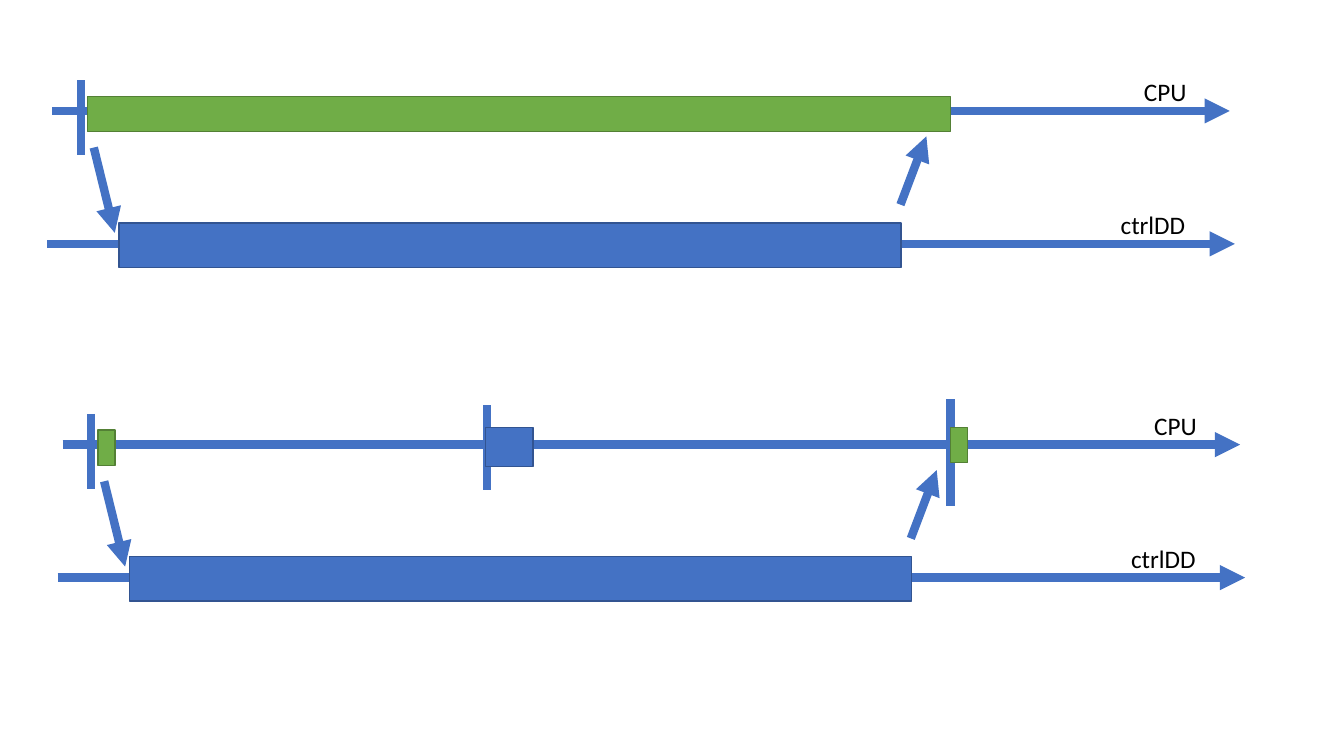
from lxml.etree import SubElement
from pptx import Presentation
from pptx.dml.color import RGBColor
from pptx.enum.shapes import MSO_CONNECTOR as CONN, MSO_SHAPE as SHAPE
from pptx.enum.text import MSO_AUTO_SIZE as AUTO
from pptx.oxml.ns import qn
from pptx.util import Pt

BLUE, BLUE_EDGE = "4472C4", "325491"
GREEN, GREEN_EDGE = "70AD47", "538035"
LABEL_FONT = {"name": "Calibri", "size": Pt(18)}
# Shift of the lower timing diagram from the upper one
LOWER = (7.4, 238.4)


def color(fmt, value):
    fmt.rgb = RGBColor.from_string(value)


def add_line(s, x1, y1, x2, y2, arrow=False):
    c = s.shapes.add_connector(CONN.STRAIGHT, Pt(x1), Pt(y1), Pt(x2), Pt(y2))
    color(c.line.color, BLUE)
    c.line.width = Pt(6)
    if arrow:
        SubElement(c.line._get_or_add_ln(), qn("a:tailEnd"), type="triangle")
    SubElement(c._element.spPr, qn("a:effectLst"))


def add_bar(s, x, y, w, h, fill=BLUE, edge=BLUE_EDGE):
    sp = s.shapes.add_shape(SHAPE.RECTANGLE, Pt(x), Pt(y), Pt(w), Pt(h))
    sp.shadow.inherit = False
    sp.fill.solid()
    color(sp.fill.fore_color, fill)
    color(sp.line.color, edge)
    sp.line.width = Pt(1)


def add_label(s, text, x, y, w):
    tf = s.shapes.add_textbox(Pt(x), Pt(y), Pt(w), Pt(28.8)).text_frame
    tf.word_wrap = False
    tf.auto_size = AUTO.SHAPE_TO_FIT_TEXT
    r = tf.paragraphs[0].add_run()
    r.text = text
    for name, value in LABEL_FONT.items():
        setattr(r.font, name, value)
    color(r.font.color, "000000")


def add_timing(s, dx, dy, cpu_width):
    """Draw the CPU and ctrlDD time lines, with the CPU busy for cpu_width."""
    def line(x1, y1, x2, y2, arrow=True):
        add_line(s, x1 + dx, y1 + dy, x2 + dx, y2 + dy, arrow)

    line(37.4, 79.2, 878.4, 79.2)
    line(57.8, 57.2, 57.8, 111, arrow=False)
    add_bar(s, 62.5 + dx, 68.8 + dy, cpu_width, 25.2, GREEN, GREEN_EDGE)
    line(33.8, 174.2, 882, 174.2)
    line(67, 105.4, 82, 166.3)
    add_bar(s, 85 + dx, 159.3 + dy, 558.7, 31.7)
    line(643.2, 146.2, 661.7, 97.4)
    add_label(s, "CPU", 810 + dx, 51.1 + dy, 45.4)
    add_label(s, "ctrlDD", 793.4 + dx, 146.2 + dy, 61.2)


def main():
    prs = Presentation()
    prs.slide_width, prs.slide_height = Pt(960), Pt(540)
    s = prs.slides.add_slide(prs.slide_layouts[6])

    add_timing(s, 0, 0, cpu_width=616.3)
    add_timing(s, *LOWER, cpu_width=12.2)

    add_line(s, 679, 285.1, 679, 361.4)
    add_bar(s, 679, 305.3, 12.2, 25.2, GREEN, GREEN_EDGE)
    add_line(s, 347.8, 289.4, 347.8, 349.9)
    add_bar(s, 347, 305.3, 33.8, 28.1)

    prs.save("out.pptx")


if __name__ == "__main__":
    main()
